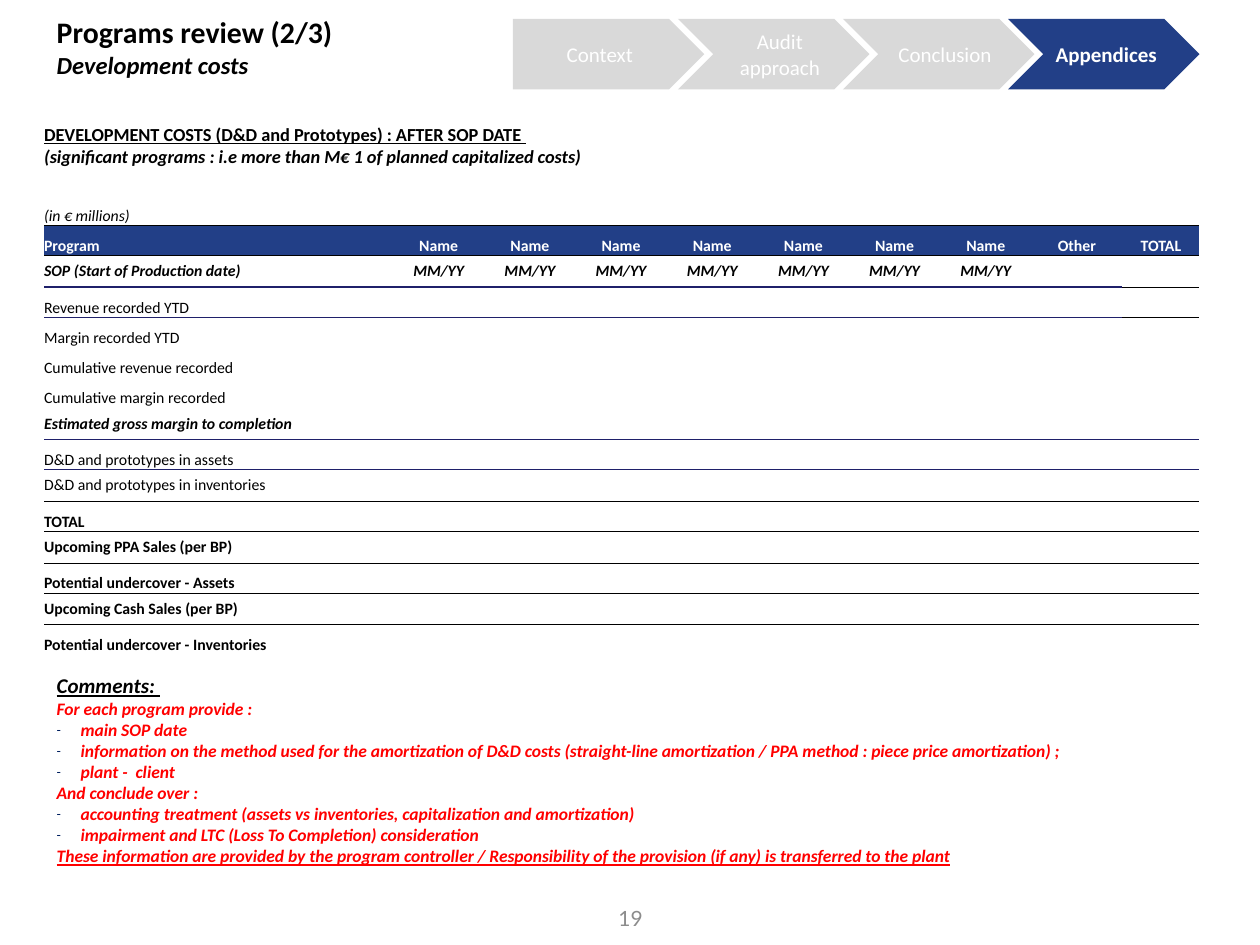
from lxml.etree import SubElement
from pptx import Presentation
from pptx.dml.color import RGBColor
from pptx.enum.shapes import MSO_SHAPE
from pptx.enum.text import MSO_ANCHOR, MSO_AUTO_SIZE, PP_ALIGN
from pptx.oxml.ns import qn
from pptx.util import Inches, Pt

BLACK = RGBColor(0x00, 0x00, 0x00)
WHITE = RGBColor(0xFF, 0xFF, 0xFF)
BLUE = RGBColor(0x22, 0x3F, 0x87)
NAVY = RGBColor(0x1F, 0x20, 0x6A)
DARK = RGBColor(0x00, 0x20, 0x60)
RED = RGBColor(0xFF, 0x00, 0x00)
PALE = RGBColor(0xD9, 0xD9, 0xD9)
GREY = RGBColor(0x8C, 0x8C, 0x8C)
LEFT, WIDTH = 0.35, 9.17


def write(par, text, size, color=BLACK, style="", face="Calibri"):
    """Add a run; style holds any of the letters b, i and u."""
    run = par.add_run()
    run.text = text
    font = run.font
    font.name, font.size = face, Pt(size)
    font.color.rgb = color
    font.bold, font.italic, font.underline = (k in style for k in "biu")


def edge(cell, side, color, width):
    """Draw one border of a cell: side is T or B."""
    line = SubElement(cell._tc.get_or_add_tcPr(), qn("a:ln" + side), w=str(Pt(width)))
    fill = SubElement(line, qn("a:solidFill"))
    SubElement(fill, qn("a:srgbClr"), val=str(color))


prs = Presentation()
prs.slide_width, prs.slide_height = Inches(10), Inches(7.5)
slide = prs.slides.add_slide(prs.slide_layouts[1])
shapes = slide.shapes

# Title
title = shapes.title
title.left, title.top = Inches(LEFT), Inches(0.06)
title.width, title.height = Inches(WIDTH), Inches(0.93)
frame = title.text_frame
frame.auto_size = MSO_AUTO_SIZE.NONE
frame.vertical_anchor = MSO_ANCHOR.TOP
heads = [("Programs review (2/3)", 17, "b"), ("Development costs", 14, "bi")]
for i, (text, size, style) in enumerate(heads):
    par = frame.add_paragraph() if i else frame.paragraphs[0]
    par.alignment = PP_ALIGN.LEFT
    write(par, text, size, style=style)

# Table: label, style, values, line below
THIN, THICK = (BLACK, 0.5), (NAVY, 1)
rows = [
    ("", "", [], None),
    ("", "", [], None),
    ("(in € millions)", "i", [], THIN),
    ("Program", "b", ["Name"] * 7 + ["Other", "TOTAL"], THIN),
    ("SOP (Start of Production date)", "bi", ["MM/YY"] * 7, THICK),
    ("Revenue recorded YTD", "", [], None),
    ("Margin recorded YTD", "", [], None),
    ("Cumulative revenue recorded", "", [], None),
    ("Cumulative margin recorded", "", [], None),
    ("Estimated gross margin to completion", "bi", [], THICK),
    ("D&D and prototypes in assets", "", [], None),
    ("D&D and prototypes in inventories", "", [], THIN),
    ("TOTAL", "b", [], None),
    ("Upcoming PPA Sales (per BP)", "b", [], THIN),
    ("Potential undercover - Assets", "b", [], None),
    ("Upcoming Cash Sales (per BP)", "b", [], THIN),
    ("Potential undercover - Inventories", "b", [], None),
]
HEAD, SOP, COLS = 3, 4, 10
FIRST, LAST = 2.77, 0.61
table = shapes.add_table(len(rows), COLS, Inches(LEFT), Inches(0.8),
                         Inches(WIDTH), Inches(4.44)).table
table.first_row = table.horz_banding = False
table._tbl.tblPr[0].text = "{2D5ABB26-0587-4C30-8999-92F81FD0307C}"
for col in table.columns:
    col.width = Inches((WIDTH - FIRST - LAST) / (COLS - 2))
table.columns[0].width = Inches(FIRST)
table.columns[COLS - 1].width = Inches(LAST)

above = None
for r, (label, style, values, below) in enumerate(rows):
    middle = r >= SOP and below is not None
    table.rows[r].height = Inches(0.25 if middle else 0.24)
    texts = [label] + values + [""] * (COLS - 1 - len(values))
    for c, text in enumerate(texts):
        cell = table.cell(r, c)
        cell.margin_left = cell.margin_right = 0
        cell.margin_top = cell.margin_bottom = 0
        cell.vertical_anchor = MSO_ANCHOR.MIDDLE if middle else MSO_ANCHOR.BOTTOM
        for side, line in (("T", above), ("B", below)):
            if line:
                swap = c == COLS - 1 and r in (SOP, SOP + 1)
                edge(cell, side, *(THIN if swap else line))
        par = cell.text_frame.paragraphs[0]
        if r == HEAD:
            cell.fill.solid()
            cell.fill.fore_color.rgb = BLUE
        else:
            cell.fill.background()
        if text:
            if c:
                par.alignment = PP_ALIGN.CENTER
            elif middle or r == HEAD - 1:
                par.alignment = PP_ALIGN.JUSTIFY
            write(par, text, 9, WHITE if r == HEAD else BLACK, style)
        else:
            par._p.get_or_add_endParaRPr().set("sz", "900")
    above = below

table.rows[0].height = Inches(0.54)
table.rows[1].height = Inches(0.21)
cell = table.cell(0, 0)
cell.merge(table.cell(0, 3))
frame = cell.text_frame
write(frame.paragraphs[0], "DEVELOPMENT COSTS (D&D and Prototypes) : AFTER SOP DATE ", 10.5, style="bu")
write(frame.add_paragraph(),
      "(significant programs : i.e more than M€ 1 of planned capitalized costs)", 10.5, style="bi")

# Comments: text, size, colour, style, bullet
notes = [
    ("Comments: ", 12, BLACK, "biu", False),
    ("For each program provide :", 10, RED, "bi", False),
    ("main SOP date", 10, RED, "bi", True),
    ("information on the method used for the amortization of D&D costs "
     "(straight-line amortization / PPA method : piece price amortization) ;", 10, RED, "bi", True),
    ("plant -  client", 10, RED, "bi", True),
    ("And conclude over :", 10, RED, "bi", False),
    ("accounting treatment (assets vs inventories, capitalization and amortization)",
     10, RED, "bi", True),
    ("impairment and LTC (Loss To Completion) consideration", 10, RED, "bi", True),
    ("These information are provided by the program controller / Responsibility of the "
     "provision (if any) is transferred to the plant", 10, RED, "biu", False),
]
body = slide.placeholders[1]
body.left, body.top = Inches(LEFT), Inches(5.29)
body.width, body.height = Inches(WIDTH), Inches(1.8)
frame = body.text_frame
frame.auto_size = MSO_AUTO_SIZE.NONE
for i, (text, size, color, style, mark) in enumerate(notes):
    par = frame.add_paragraph() if i else frame.paragraphs[0]
    props = par._p.get_or_add_pPr()
    hang = Inches(0.19) if mark else 0
    props.set("marL", str(hang))
    props.set("indent", str(-hang))
    if mark:
        tint = SubElement(props, qn("a:buClr"))
        SubElement(tint, qn("a:srgbClr"), val=str(DARK))
        SubElement(props, qn("a:buSzPct"), val="75000")
        SubElement(props, qn("a:buChar"), char="-")
    else:
        SubElement(props, qn("a:buNone"))
    par.alignment = PP_ALIGN.JUSTIFY
    par.space_before = Pt(0)
    write(par, text, size, color, style)

# Chapter arrows
steps = ["Context", "Audit approach", "Conclusion", "Appendices"]
for i, text in enumerate(steps):
    now = text == "Appendices"
    kind = MSO_SHAPE.CHEVRON if i else MSO_SHAPE.PENTAGON
    arrow = shapes.add_shape(kind, Inches(4.07 + 1.31 * i), Inches(0.15),
                             Inches(1.52), Inches(0.56))
    arrow.shadow.inherit = False
    arrow.fill.solid()
    arrow.fill.fore_color.rgb = BLUE if now else PALE
    arrow.line.fill.background()
    frame = arrow.text_frame
    frame.word_wrap = True
    frame.vertical_anchor = MSO_ANCHOR.MIDDLE
    frame.margin_left = frame.margin_top = frame.margin_bottom = Inches(0.1)
    frame.margin_right = 0 if i else Inches(0.1)
    par = frame.paragraphs[0]
    par.alignment = PP_ALIGN.LEFT if now else PP_ALIGN.CENTER
    write(par, text, 12, WHITE, "b" if now else "")

# Page number
page = shapes.add_textbox(Inches(2.95), Inches(7.09), Inches(2.25), Inches(0.4))
frame = page.text_frame
frame.word_wrap = True
frame.vertical_anchor = MSO_ANCHOR.MIDDLE
frame.paragraphs[0].alignment = PP_ALIGN.RIGHT
write(frame.paragraphs[0], "19", 12, GREY, face="Lato")

prs.save("out.pptx")
